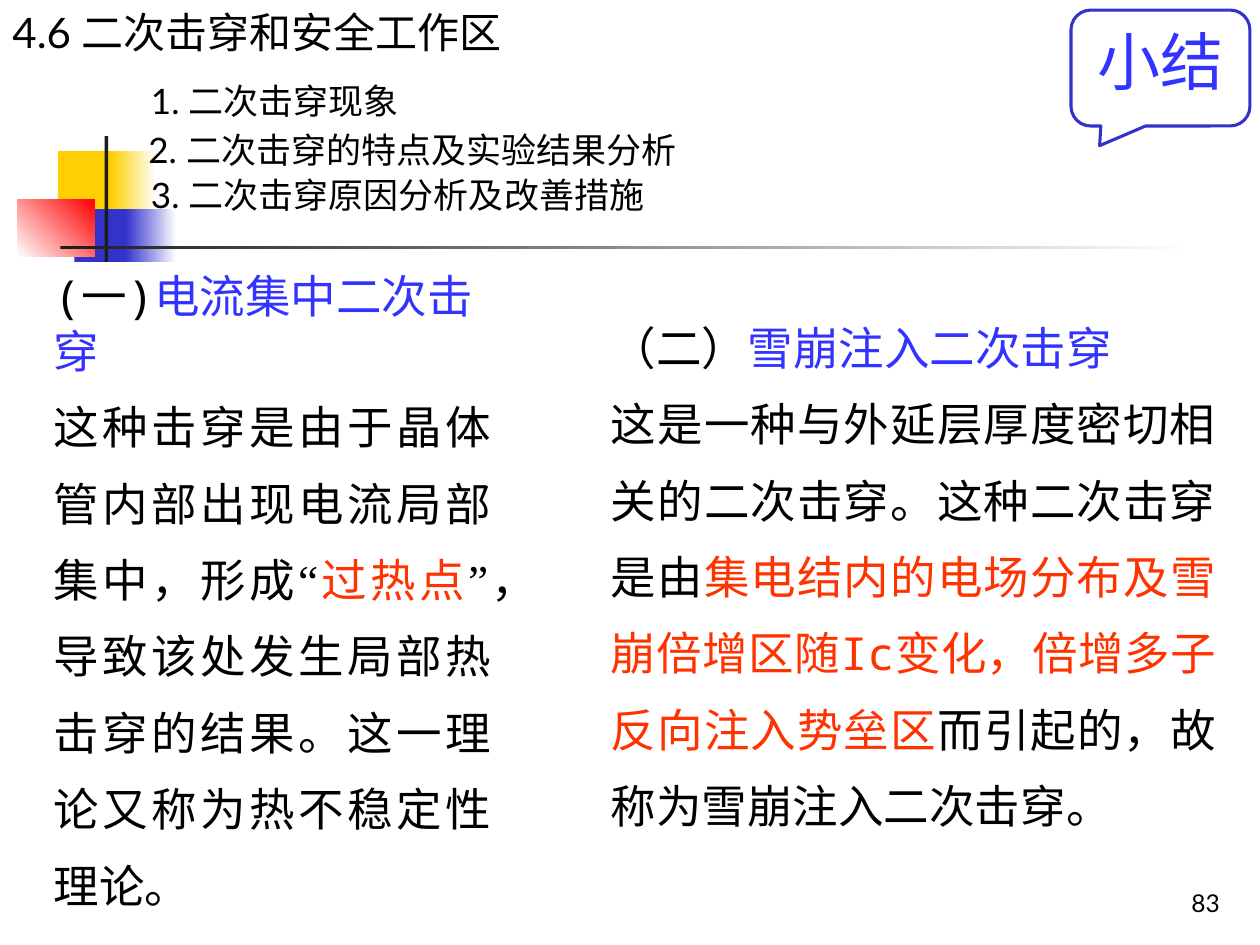
from pptx import Presentation
from pptx.dml.color import RGBColor
from pptx.enum.shapes import MSO_SHAPE as Shape
from pptx.enum.text import MSO_ANCHOR as Anchor, MSO_AUTO_SIZE as AutoSize, PP_ALIGN as Align
from pptx.util import Inches, Pt
from lxml.etree import SubElement
from pptx.oxml.ns import qn

# Content
COLORS = {"black": "000000", "white": "FFFFFF", "ink": "1C1C1C", "yellow": "FFCF01",
          "navy": "3333CC", "blue": "3333FF", "red": "FF0000", "orange": "FF3300"}
SANS, MONO, SERIF = "Lato", "Noto Sans Mono", "Times New Roman"

# Ornament: (left, top, width, height), colours from start to end, angle
ORNAMENT = [
    ((0.46, 1.2, 0.48, 0.52), ["yellow"], 0),
    ((0.88, 1.2, 0.36, 0.52), ["yellow", "white"], 0),
    ((0.59, 1.66, 0.46, 0.52), ["navy"], 0),
    ((1, 1.66, 0.4, 0.52), ["navy", "white"], 0),
    ((0.14, 1.58, 0.61, 0.46), ["white", "red"], 45),
    ((0.83, 1.08, 0.03, 1.15), ["ink"], 0),
    ((0.48, 1.95, 9, 0.03), ["ink", "white"], 0),
]
HEADING = "4.6 二次击穿和安全工作区"
TOPICS = [
    (1.1, 0.58, "1. 二次击穿现象"),
    (1.08, 0.97, "2. 二次击穿的特点及实验结果分析"),
    (1.1, 1.33, "3. 二次击穿原因分析及改善措施"),
]
SUMMARY = "小结"
PAGE_NUMBER = "83"

# Explanations: box, title runs, body runs; a run is (text, colour, font)
EXPLANATIONS = [
    ((0.33, 2.08, 3.67, 5.21),
     [("(一)", "black", MONO), ("电流集中二次击穿", "blue", MONO)],
     [("这种击穿是由于晶体管内部出现电流局部集中，形成", "black", MONO),
      ("“", "black", SERIF), ("过热点", "orange", MONO), ("”", "black", SERIF),
      ("，导致该处发生局部热击穿的结果。这一理论又称为热不稳定性理论。", "black", MONO)]),
    ((4.75, 2.49, 5, 4.17),
     [("（二）", "black", MONO), ("雪崩注入二次击穿", "blue", MONO)],
     [("这是一种与外延层厚度密切相关的二次击穿。这种二次击穿是由", "black", MONO),
      ("集电结内的电场分布及雪崩倍增区随Ic变化，倍增多子反向注入势垒区", "orange", MONO),
      ("而引起的，故称为雪崩注入二次击穿。", "black", MONO)]),
]

deck = Presentation()
deck.slide_width, deck.slide_height = Inches(10), Inches(7.5)
slide = deck.slides.add_slide(deck.slide_layouts[6])


def rgb(name):
    return RGBColor.from_string(COLORS[name])


def apply(target, formats):
    for key, value in formats.items():
        setattr(target, key, value)


def add_block(box, colors=(), angle=0, kind=Shape.RECTANGLE):
    block = slide.shapes.add_shape(kind, *map(Inches, box))
    block.shadow.inherit = False
    block.line.fill.background()
    if len(colors) == 2:
        block.fill.gradient()
        block.fill.gradient_angle = angle
        for stop, color in zip(block.fill.gradient_stops, colors):
            stop.color.rgb = rgb(color)
    elif colors:
        block.fill.solid()
        block.fill.fore_color.rgb = rgb(colors[0])
    else:
        block.fill.background()
    return block


def add_label(box):
    return slide.shapes.add_textbox(*map(Inches, box))


def write(holder, paragraphs, size, **frame_formats):
    """Each paragraph is (runs, paragraph formats)."""
    frame = holder.text_frame
    apply(frame, {"word_wrap": True, "vertical_anchor": Anchor.TOP, **frame_formats})
    for index, (runs, formats) in enumerate(paragraphs):
        paragraph = frame.add_paragraph() if index else frame.paragraphs[0]
        apply(paragraph, {"alignment": Align.LEFT, **formats})
        for words, color, font in runs:
            run = paragraph.add_run()
            run.text = words
            apply(run.font, {"size": Pt(size), "name": font})
            run.font.color.rgb = rgb(color)
            SubElement(run.font._element, qn("a:ea")).set("typeface", font)


# Ornament and rule
for box, colors, angle in ORNAMENT:
    add_block(box, colors, angle)

# Page number
write(add_label((7.7, 6.83, 2.08, 0.5)), [([(PAGE_NUMBER, "black", SANS)], {"alignment": Align.RIGHT})],
      14, vertical_anchor=Anchor.BOTTOM)

# Heading and topics
GROW = {"auto_size": AutoSize.SHAPE_TO_FIT_TEXT}
write(add_label((0, 0, 7.08, 0.5)), [([(HEADING, "black", SANS)], {"space_before": Pt(15)})], 24, **GROW)
for left, top, topic in TOPICS:
    write(add_label((left, top, 5.67, 0.44)),
          [([(topic, "black", SANS)], {"space_before": Pt(12.5)})], 20, **GROW)

# Summary callout
callout = add_block((8.5, 0.08, 1.42, 0.92), kind=Shape.ROUNDED_RECTANGULAR_CALLOUT)
for index, share in enumerate((-0.34, 0.67, 0.17)):
    callout.adjustments[index] = share
callout.line.color.rgb = rgb("navy")
callout.line.width = Pt(1.75)
write(callout, [([(SUMMARY, "blue", SANS)], {"alignment": Align.CENTER})], 36)

# Explanations: the first sits on a white panel
for index, (box, title, body) in enumerate(EXPLANATIONS):
    panel = add_label(box) if index else add_block(box, ["white"])
    write(panel, [(title, {}), (body, {"alignment": Align.JUSTIFY, "line_spacing": 1.4})], 26, **GROW)

deck.save("out.pptx")
